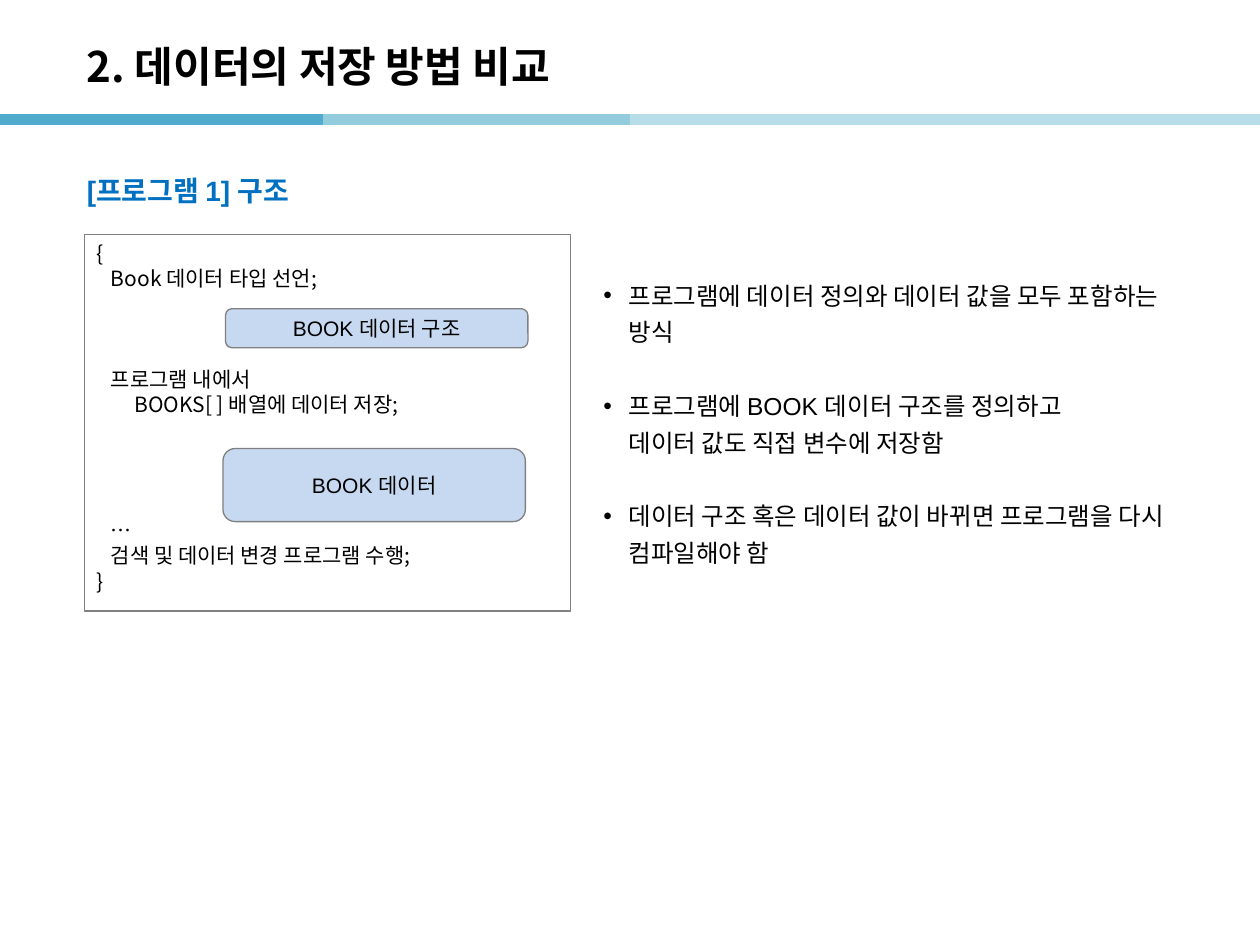
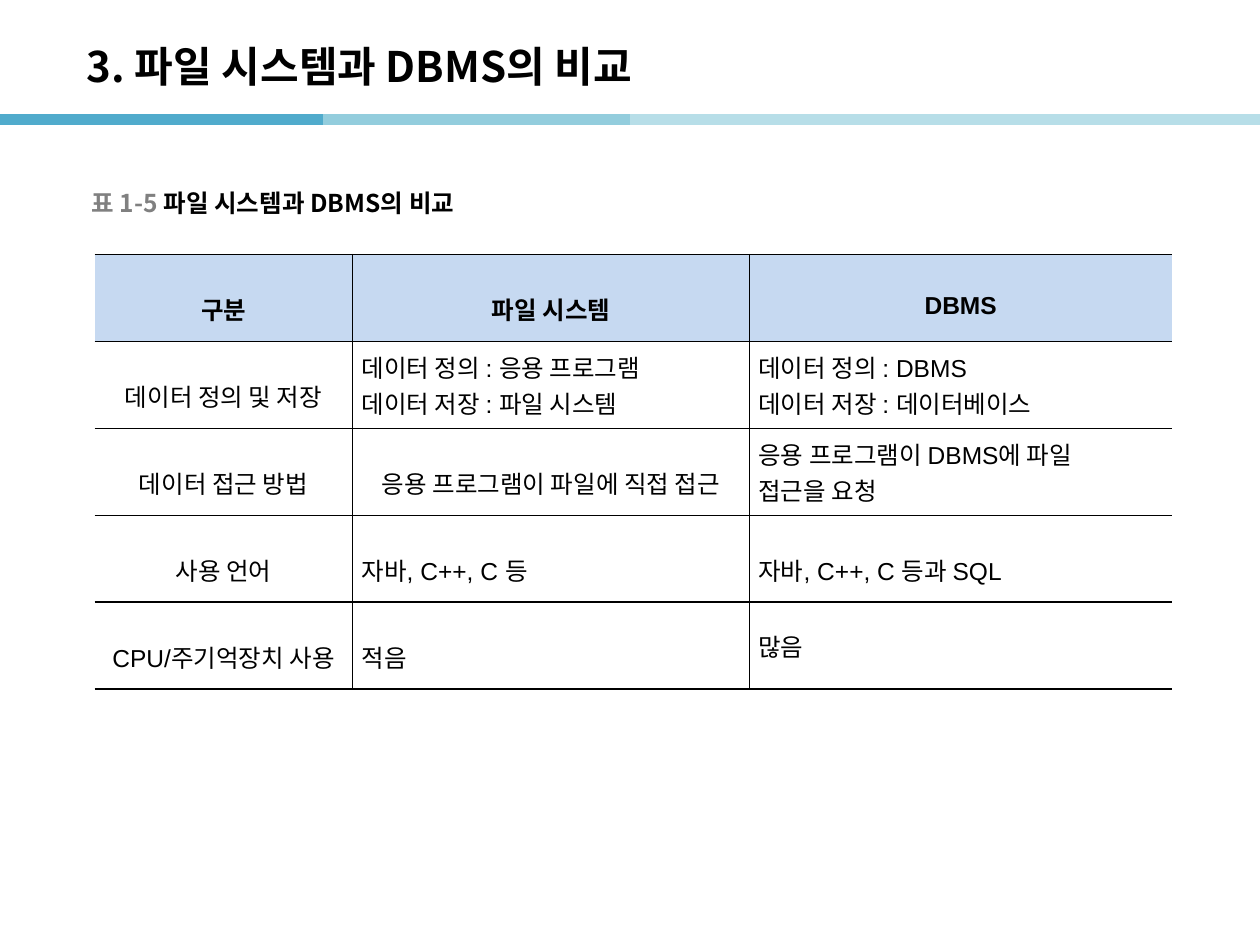
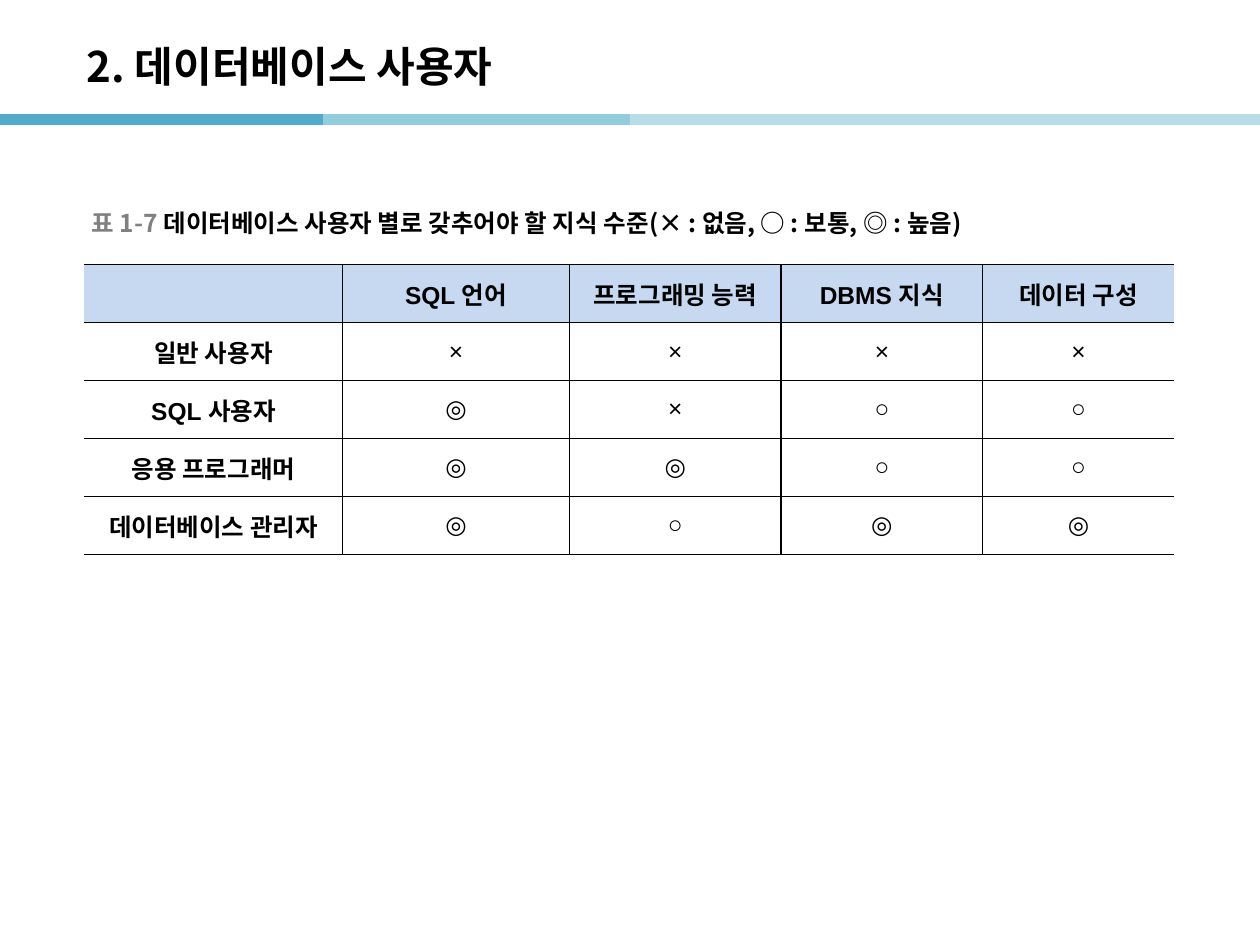
from lxml import etree
from pptx import Presentation
from pptx.dml.color import RGBColor
from pptx.enum import shapes, text
from pptx.oxml import ns
from pptx.util import Inches, Pt

COLORS = {
    "black": "000000", "white": "FFFFFF", "gray": "808080", "heading": "0070C0",
    "panel": "C6D9F1", "band_dark": "50ABCC", "band_mid": "93CDDD", "band_light": "B7DEE8",
}
KOREAN_FONT = "Noto Sans CJK KR"
LATIN_FONT = "Arial"
LEFT, CENTER = text.PP_ALIGN.LEFT, text.PP_ALIGN.CENTER
MIDDLE, TOP = text.MSO_ANCHOR.MIDDLE, text.MSO_ANCHOR.TOP

BANDS = [(0, "band_dark"), (2.56, "band_mid"), (5, "band_light"), (7.46, "band_light")]
BAND_Y, BAND_LENGTH = 0.95, 2.56
CODE_LINE = 14.4

# Each code line comes with the number of free lines above it
CODE = [
    ("{", 0),
    ("   Book 데이터 타입 선언;", 0),
    ("   프로그램 내에서", 3),
    ("        BOOKS[ ] 배열에 데이터 저장;", 0),
    ("   …", 4),
    ("   검색 및 데이터 변경 프로그램 수행;", 0),
    ("}", 0),
]
POINTS = [
    "프로그램에 데이터 정의와 데이터 값을 모두 포함하는 방식",
    "프로그램에 BOOK 데이터 구조를 정의하고\v데이터 값도 직접 변수에 저장함",
    "데이터 구조 혹은 데이터 값이 바뀌면 프로그램을 다시 컴파일해야 함",
]
SYSTEM_ROWS = [
    ["구분", "파일 시스템", "DBMS"],
    ["데이터 정의 및 저장", "데이터 정의 : 응용 프로그램\n데이터 저장 : 파일 시스템",
     "데이터 정의 : DBMS\n데이터 저장 : 데이터베이스"],
    ["데이터 접근 방법", "응용 프로그램이 파일에 직접 접근",
     "응용 프로그램이 DBMS에 파일\v접근을 요청"],
    ["사용 언어", "자바, C++, C 등", "자바, C++, C 등과 SQL"],
    ["CPU/주기억장치 사용", "적음", "많음"],
]
USER_ROWS = [
    ["", "SQL 언어", "프로그래밍 능력", "DBMS 지식", "데이터 구성"],
    ["일반 사용자", "×", "×", "×", "×"],
    ["SQL 사용자", "◎", "×", "○", "○"],
    ["응용 프로그래머", "◎", "◎", "○", "○"],
    ["데이터베이스 관리자", "◎", "○", "◎", "◎"],
]


def rgb(name):
    return RGBColor.from_string(COLORS[name])


def box(left, top, width, height):
    return Inches(left), Inches(top), Inches(width), Inches(height)


def place(shape, bounds):
    shape.left, shape.top, shape.width, shape.height = box(*bounds)


# Text
def add_run(paragraph, words, size, color="black", bold=False, font=LATIN_FONT):
    for index, part in enumerate(words.split("\v")):
        if index:
            paragraph.add_line_break()
        run = paragraph.add_run()
        run.text = part
        run.font.size = Pt(size)
        run.font.bold = bold
        run.font.name = font
        run.font.color.rgb = rgb(color)
        east_asian = etree.SubElement(run._r.get_or_add_rPr(), ns.qn("a:ea"))
        east_asian.set("typeface", KOREAN_FONT)


def set_indent(paragraph, inches, bullet=None):
    properties = paragraph._p.get_or_add_pPr()
    properties.set("marL", str(Inches(inches)))
    properties.set("indent", str(-Inches(inches)))
    if bullet:
        etree.SubElement(properties, ns.qn("a:buFont")).set("typeface", LATIN_FONT)
        etree.SubElement(properties, ns.qn("a:buChar")).set("char", bullet)
    else:
        etree.SubElement(properties, ns.qn("a:buNone"))


def next_paragraph(frame, index):
    return frame.add_paragraph() if index else frame.paragraphs[0]


def set_frame(frame, anchor, wrap=True):
    frame.auto_size = text.MSO_AUTO_SIZE.NONE
    frame.vertical_anchor = anchor
    frame.word_wrap = wrap


# Shared parts
def add_bands(presentation, slide):
    """Draw the colour bands and hand them over to the slide master."""
    for left, color in BANDS:
        band = slide.shapes.add_connector(
            shapes.MSO_CONNECTOR.STRAIGHT, Inches(left), Inches(BAND_Y),
            Inches(left + BAND_LENGTH), Inches(BAND_Y))
        band.line.color.rgb = rgb(color)
        band.line.width = Pt(6)
        etree.SubElement(band.element.spPr, ns.qn("a:effectLst"))
        presentation.slide_master.shapes.element.append(band.element)


def add_slide(presentation, layout, title):
    slide = presentation.slides.add_slide(presentation.slide_layouts.get_by_name(layout))
    shape = slide.shapes.title
    place(shape, (0.59, 0.22, 8.27, 0.6))
    set_frame(shape.text_frame, MIDDLE)
    paragraph = shape.text_frame.paragraphs[0]
    paragraph.alignment = LEFT
    add_run(paragraph, title, 24, bold=True, font=KOREAN_FONT)
    return slide


def add_caption(slide, top, number, words):
    shape = slide.shapes.add_textbox(*box(0.63, top, 2.05, 0.31))
    set_frame(shape.text_frame, MIDDLE, wrap=False)
    paragraph = shape.text_frame.paragraphs[0]
    add_run(paragraph, number + " ", 14, "gray", True, KOREAN_FONT)
    add_run(paragraph, words, 14, "black", True, KOREAN_FONT)


# Program structure
def add_heading(slide, words):
    body = slide.placeholders[1]
    place(body, (0.59, 1.19, 8.82, 5.98))
    set_frame(body.text_frame, TOP)
    paragraph = body.text_frame.paragraphs[0]
    paragraph.line_spacing = 1.5
    paragraph.space_before = Pt(0)
    set_indent(paragraph, 0.38)
    add_run(paragraph, words, 16, "heading", True)


def add_points(slide, points):
    shape = slide.shapes.add_textbox(*box(4.69, 1.89, 4.72, 2.93))
    set_frame(shape.text_frame, TOP)
    shape.text_frame.margin_top = Inches(0.28)
    for index, point in enumerate(points):
        paragraph = next_paragraph(shape.text_frame, index)
        paragraph.line_spacing = Pt(21)
        paragraph.space_before = Pt(21 if index else 0)
        set_indent(paragraph, 0.2, "•")
        add_run(paragraph, point, 14)


def add_panel(slide, kind, bounds, fill):
    shape = slide.shapes.add_shape(kind, *box(*bounds))
    shape.shadow.inherit = False
    shape.fill.solid()
    shape.fill.fore_color.rgb = rgb(fill)
    shape.line.color.rgb = rgb("gray")
    shape.line.width = Pt(0.75)
    return shape


def add_code(slide, lines):
    shape = add_panel(slide, shapes.MSO_SHAPE.RECTANGLE, (0.67, 1.86, 3.86, 2.99), "white")
    set_frame(shape.text_frame, TOP)
    for index, (words, free_lines) in enumerate(lines):
        paragraph = next_paragraph(shape.text_frame, index)
        paragraph.alignment = LEFT
        paragraph.line_spacing = Pt(CODE_LINE)
        paragraph.space_before = Pt(free_lines * CODE_LINE)
        add_run(paragraph, words, 12, font=KOREAN_FONT)


def add_data_box(slide, bounds, words):
    shape = add_panel(slide, shapes.MSO_SHAPE.ROUNDED_RECTANGLE, bounds, "panel")
    set_frame(shape.text_frame, MIDDLE)
    paragraph = shape.text_frame.paragraphs[0]
    paragraph.alignment = CENTER
    add_run(paragraph, words, 12)


# Tables
def set_borders(cell, open_sides):
    properties = cell._tc.get_or_add_tcPr()
    for side in "LRTB":
        line = etree.SubElement(properties, ns.qn("a:ln" + side), w=str(Pt(1)))
        if side in open_sides:
            etree.SubElement(line, ns.qn("a:noFill"))
        else:
            fill = etree.SubElement(line, ns.qn("a:solidFill"))
            etree.SubElement(fill, ns.qn("a:srgbClr"), val=COLORS["black"])


def add_table(slide, left, top, widths, row_height, rows, style):
    """Fill a table open at both sides; style(row, column) gives bold, align, spacing."""
    frame = slide.shapes.add_table(
        len(rows), len(widths), *box(left, top, sum(widths), row_height * len(rows)))
    table = frame.table
    for column, width in zip(table.columns, widths):
        column.width = Inches(width)
    for r, row in enumerate(rows):
        table.rows[r].height = Inches(row_height)
        for c, words in enumerate(row):
            cell = table.cell(r, c)
            set_borders(cell, ("L" if c == 0 else "") + ("R" if c == len(row) - 1 else ""))
            cell.fill.solid()
            cell.fill.fore_color.rgb = rgb("white" if r else "panel")
            cell.vertical_anchor = MIDDLE
            bold, align, spacing = style(r, c)
            for index, line in enumerate(words.split("\n") if words else []):
                paragraph = next_paragraph(cell.text_frame, index)
                paragraph.alignment = align
                paragraph.line_spacing = spacing
                add_run(paragraph, line, 14, bold=bold)
    return table


def system_style(row, column):
    centered = row == 0 or column == 0 or (row, column) == (2, 1)
    tight = (row, column) in {(1, 1), (1, 2), (2, 2), (4, 2)}
    return row == 0, CENTER if centered else LEFT, 1.0 if tight else 1.6


def user_style(row, column):
    return row == 0 or column == 0, CENTER, 1.0


def main():
    presentation = Presentation()
    presentation.slide_width, presentation.slide_height = Inches(10), Inches(7.5)

    # Storing data inside the program
    slide = add_slide(presentation, "Title and Content", "2. 데이터의 저장 방법 비교")
    add_bands(presentation, slide)
    add_heading(slide, "[프로그램 1] 구조")
    add_points(slide, POINTS)
    add_code(slide, CODE)
    add_data_box(slide, (1.77, 3.56, 2.4, 0.58), "BOOK 데이터")
    add_data_box(slide, (1.79, 2.45, 2.4, 0.31), "BOOK 데이터 구조")

    # File system and DBMS
    slide = add_slide(presentation, "Title Only", "3. 파일 시스템과 DBMS의 비교")
    add_caption(slide, 1.45, "표 1-5", "파일 시스템과 DBMS의 비교")
    table = add_table(slide, 0.75, 2.02, [2.05, 3.15, 3.35], 0.69, SYSTEM_ROWS, system_style)
    for cell in table.iter_cells():
        cell.margin_left = cell.margin_right = Inches(0.07)
        cell.margin_top = cell.margin_bottom = Inches(0.02)

    # Database users
    slide = add_slide(presentation, "Title Only", "2. 데이터베이스 사용자")
    add_caption(slide, 1.61, "표 1-7",
                "데이터베이스 사용자 별로 갖추어야 할 지식 수준(× : 없음, ○ : 보통, ◎ : 높음)")
    add_table(slide, 0.67, 2.1, [2.05, 1.8, 1.68, 1.6, 1.52], 0.46, USER_ROWS, user_style)

    presentation.save("out.pptx")


if __name__ == "__main__":
    main()
